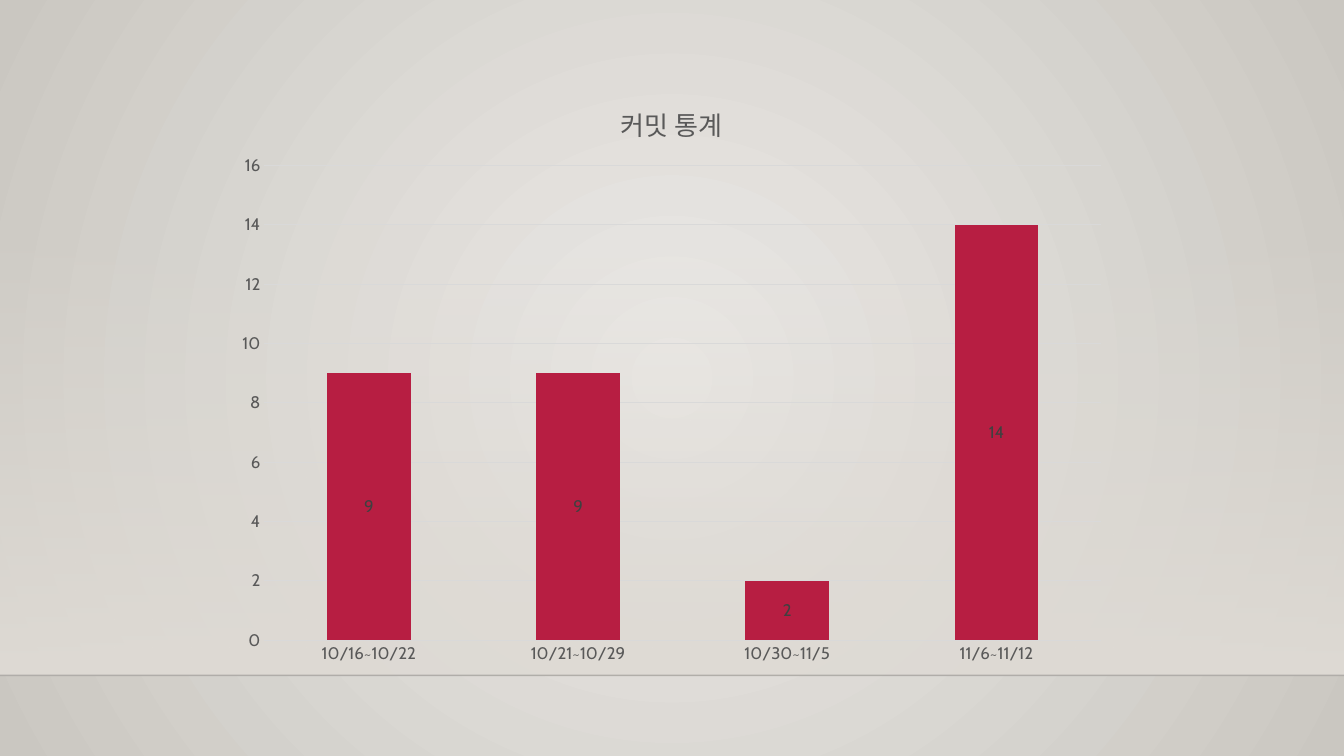
from lxml import etree
from pptx import Presentation, util as u
from pptx.chart.data import CategoryChartData
from pptx.dml.color import RGBColor
from pptx.enum import chart as ch, shapes
from pptx.oxml import parse_xml
from pptx.oxml.ns import nsdecls, qn

# Content
TITLE = "커밋 통계"
COMMITS = {"10/16~10/22": 9, "10/21~10/29": 9, "10/30~11/5": 2, "11/6~11/12": 14}
FONT = "Cabin"
COLORS = {
    "center": "ECEAE7", "edge": "CAC7C1", "wall": "DFDBD5", "floor": "000001",
    "bar": "B71E42", "axis": "595959", "label": "404040", "grid": "D9D9D9",
}
PLOT = {"x": 0.045, "y": 0.144, "w": 0.934, "h": 0.794}  # shares of the chart

deck = Presentation()
deck.slide_width, deck.slide_height = u.Inches(13.33), u.Inches(7.5)
W, H = deck.slide_width, deck.slide_height
slide = deck.slides.add_slide(deck.slide_layouts[6])


def rgb(name):
    return RGBColor.from_string(COLORS[name])


def set_gradient(fill, root, stops, direction):
    """Stops are (position %, colour name, opacity %)."""
    fill.gradient()
    old = root.find(".//" + qn("a:gradFill"))
    marks = "".join(
        f'<a:gs pos="{pos * 1000}"><a:srgbClr val="{COLORS[name]}">'
        f'<a:alpha val="{opacity * 1000}"/></a:srgbClr></a:gs>'
        for pos, name, opacity in stops)
    old.getparent().replace(old, parse_xml(
        f'<a:gradFill {nsdecls("a")} rotWithShape="1"><a:gsLst>{marks}</a:gsLst>'
        f'{direction}</a:gradFill>'))


def style(font, size, name):
    font.size, font.name, font.bold = u.Pt(size), FONT, False
    font.color.rgb = rgb(name)


# Background
set_gradient(slide.background.fill, slide.element,
             [(0, "center", 100), (100, "edge", 100)],
             '<a:path path="circle"><a:fillToRect l="50000" t="50000" r="50000" b="50000"/></a:path>')

# Wall fading in down to the floor line
floor_y = u.Inches(6.7)
wall_height = u.Inches(4.49)
wall = slide.shapes.add_shape(shapes.MSO_SHAPE.RECTANGLE, 0, floor_y - wall_height, W, wall_height)
wall.shadow.inherit = False
wall.line.fill.background()
set_gradient(wall.fill, wall.element, [(0, "wall", 0), (100, "wall", 100)],
             '<a:lin ang="5400000" scaled="0"/>')

floor = slide.shapes.add_connector(shapes.MSO_CONNECTOR.STRAIGHT, 0, floor_y, W, floor_y)
floor.line.width = u.Pt(1)
floor.line.color.rgb = rgb("floor")
floor_color = floor.element.spPr.find(".//" + qn("a:srgbClr"))
etree.SubElement(floor_color, qn("a:alpha")).set("val", "20000")
etree.SubElement(floor.element.spPr, qn("a:effectLst"))

# Commit chart, two thirds of the slide wide and centred
data = CategoryChartData()
data.categories = list(COMMITS)
data.add_series("Series 1", list(COMMITS.values()))
chart_width = int(W * 2 / 3)
chart = slide.shapes.add_chart(
    ch.XL_CHART_TYPE.COLUMN_STACKED, (W - chart_width) // 2, u.Inches(0.79),
    chart_width, u.Inches(5.93), data).chart
chart.font.name, chart.font.size = FONT, u.Pt(10)
chart.has_legend = False

chart.has_title = True
heading = chart.chart_title.text_frame
heading.text = TITLE
style(heading.paragraphs[0].font, 18.6, "axis")
chart.chart_title.include_in_layout = False

bars = chart.plots[0]
bars.gap_width, bars.overlap, bars.vary_by_categories = 150, 100, False
commits = bars.series[0]
commits.format.fill.solid()
commits.format.fill.fore_color.rgb = rgb("bar")
labels = commits.data_labels
labels.show_value = True
labels.position = ch.XL_LABEL_POSITION.CENTER
style(labels.font, 12, "label")

# Axes
for axis in (chart.category_axis, chart.value_axis):
    axis.major_tick_mark = axis.minor_tick_mark = ch.XL_TICK_MARK.NONE
    axis.format.line.fill.background()
    style(axis.tick_labels.font, 12, "axis")
counts = chart.value_axis
counts.minimum_scale, counts.maximum_scale, counts.major_unit = 0, 16, 2
grid = counts.major_gridlines.format.line
grid.width = u.Pt(0.75)
grid.color.rgb = rgb("grid")

# Plot area placed by shares of the chart
plot_area = chart.element.find(".//" + qn("c:plotArea"))
for layout in plot_area.findall(qn("c:layout")):
    plot_area.remove(layout)
shares = "".join(f'<c:{side} val="{share}"/>' for side, share in PLOT.items())
plot_area.insert(0, parse_xml(
    f'<c:layout {nsdecls("c")}><c:manualLayout><c:layoutTarget val="inner"/>'
    f'<c:xMode val="edge"/><c:yMode val="edge"/>{shares}</c:manualLayout></c:layout>'))

deck.save("out.pptx")
